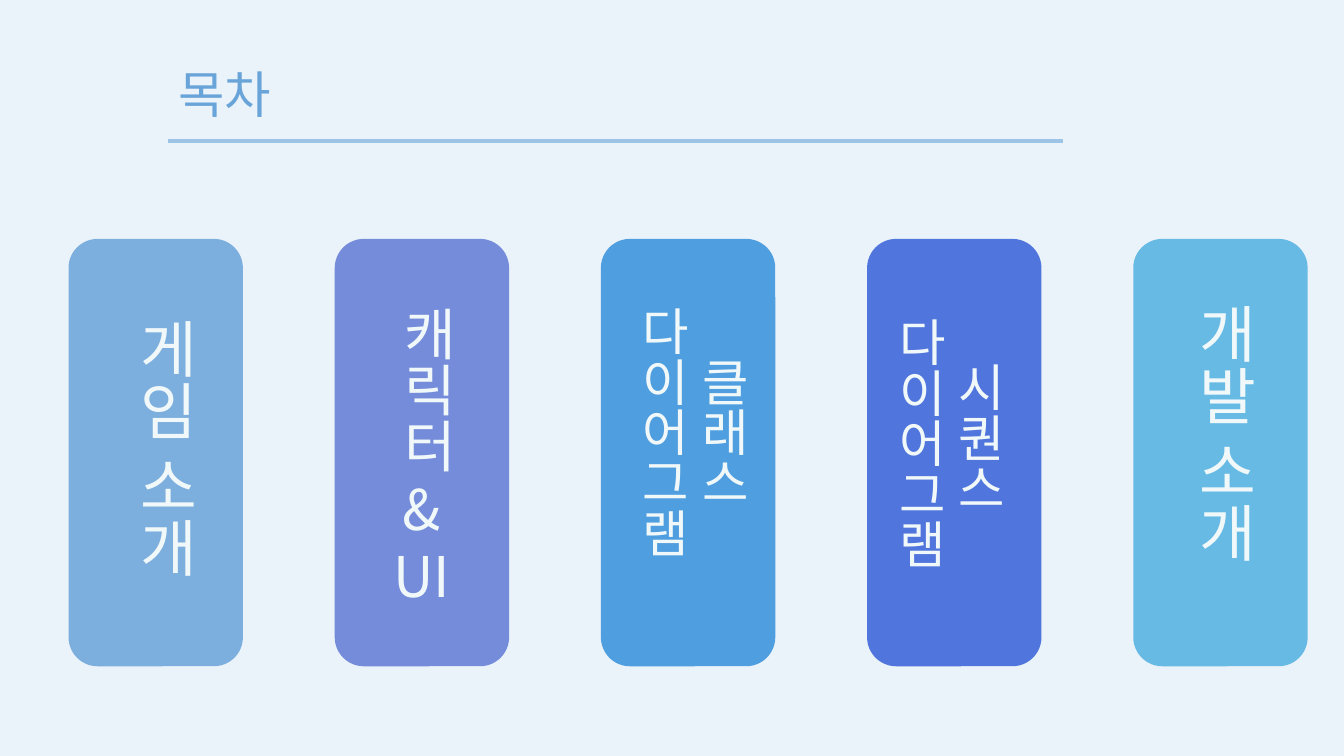
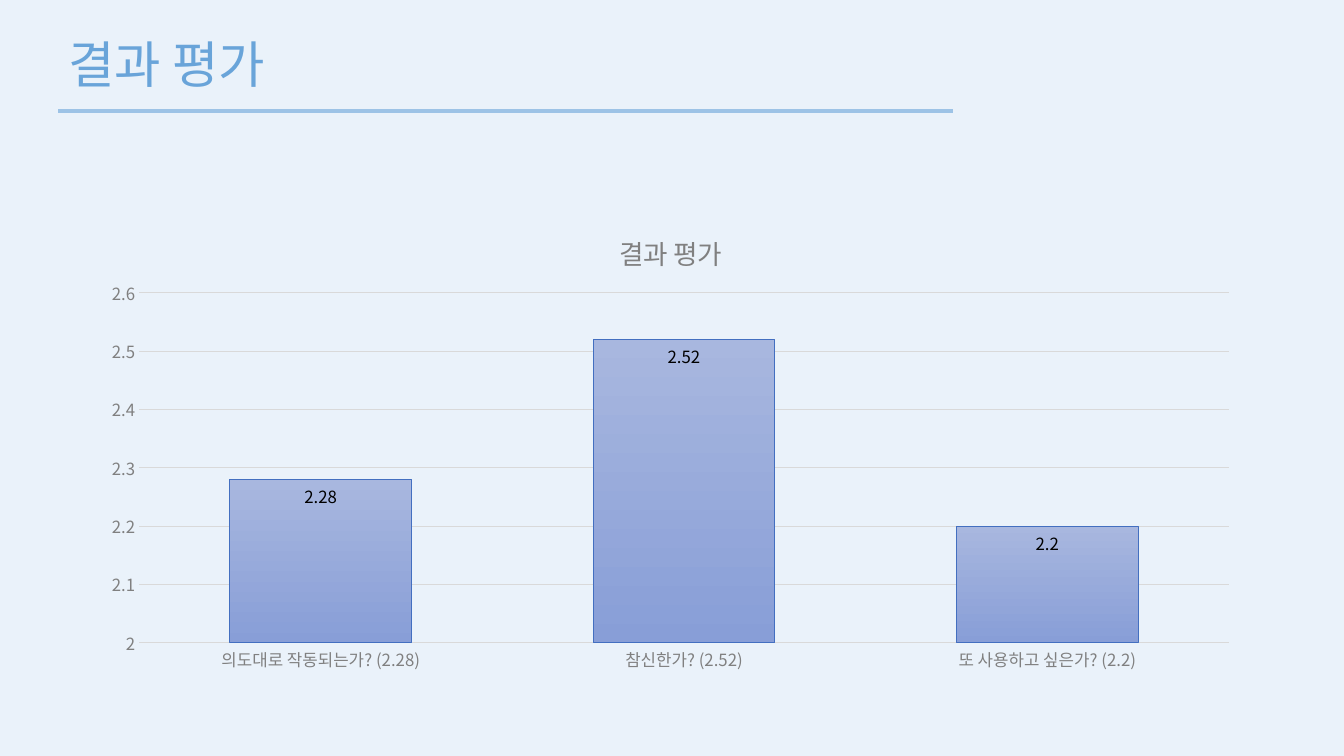
from lxml import etree
from pptx import Presentation
from pptx.chart.data import CategoryChartData
from pptx.dml.color import RGBColor
from pptx.enum.chart import XL_CHART_TYPE, XL_LABEL_POSITION, XL_TICK_MARK
from pptx.enum.shapes import MSO_CONNECTOR, MSO_SHAPE
from pptx.enum.text import MSO_AUTO_SIZE, PP_ALIGN
from pptx.oxml.ns import qn
from pptx.util import Inches, Pt

LINE = MSO_CONNECTOR.STRAIGHT
ROUND = MSO_SHAPE.ROUNDED_RECTANGLE
GROW = MSO_AUTO_SIZE.SHAPE_TO_FIT_TEXT
LEFT, CENTER = PP_ALIGN.LEFT, PP_ALIGN.CENTER
COLUMN = XL_CHART_TYPE.COLUMN_CLUSTERED
IN_END = XL_LABEL_POSITION.INSIDE_END
NO_TICK = XL_TICK_MARK.NONE


class Theme:
    font = "Noto Sans CJK KR"
    back = RGBColor.from_string("EAF2FA")
    title = RGBColor.from_string("69A4D9")
    rule = RGBColor.from_string("9DC3E6")
    light = RGBColor.from_string("F1F8F9")
    gray = RGBColor.from_string("808080")
    grid = RGBColor.from_string("D9D9D9")
    black = RGBColor.from_string("000000")
    edge = RGBColor.from_string("436FC0")
    bar = [RGBColor.from_string(c) for c in ("A8B7DF", "889ED7")]
    cards = [RGBColor.from_string(c) for c in
             ("7CAFDE", "748CDA", "4F9EDF", "5075DC", "66BAE4")]
    big, mid, head = 44, 40, 36
    chart, label = 19, 12


def style(font, size, color):
    font.name = Theme.font
    font.size = Pt(size)
    font.bold = False
    font.color.rgb = color
    east = etree.SubElement(font._element if hasattr(font, "_element") else font._rPr, qn("a:ea"))
    east.set("typeface", Theme.font)


def write(slide, area, text, size, color, align=LEFT, wrap=False, tall=False):
    frame = slide.shapes.add_textbox(*[Inches(v) for v in area]).text_frame
    frame.word_wrap = wrap
    frame.auto_size = GROW
    if tall:
        frame._txBody.bodyPr.set("vert", "eaVert")
    frame.text = text
    for para in frame.paragraphs:
        para.alignment = align
        for run in para.runs:
            style(run.font, size, color)


deck = Presentation()
deck.slide_width, deck.slide_height = Inches(13.33), Inches(7.5)
fill = deck.slide_master.background.fill
fill.solid()
fill.fore_color.rgb = Theme.back

# Slides with title and rule
slides = []
for text, left, top, width in [("목차", 1.67, 0.58, 1.17),
                               ("결과 평가", 0.58, 0.28, 2.24)]:
    slide = deck.slides.add_slide(deck.slide_layouts[6])
    write(slide, (left, top, width, 0.71), text, Theme.head, Theme.title)
    y = Inches(top + 0.82)
    rule = slide.shapes.add_connector(LINE, Inches(left), y, Inches(left + 8.87), y)
    rule.line.color.rgb = Theme.rule
    rule.line.width = Pt(3)
    etree.SubElement(rule._element.spPr, qn("a:effectLst"))
    slides.append(slide)
index, result = slides

# Contents cards
for i, color in enumerate(Theme.cards):
    card = index.shapes.add_shape(ROUND, Inches(0.68 + 2.64 * i), Inches(2.37),
                                  Inches(1.73), Inches(4.24))
    card.shadow.inherit = False
    card.fill.solid()
    card.fill.fore_color.rgb = color
    card.line.fill.background()

# Vertical card labels
for text, area, size, align in [
    ("게임 소개", (1.13, 3.06, 0.94, 3.05), Theme.big, LEFT),
    ("캐릭터", (3.75, 2.94, 0.88, 3.59), Theme.mid, LEFT),
    ("클래스\n다이어그램", (6.12, 2.94, 1.41, 2.97), Theme.head, CENTER),
    ("시퀀스\n 다이어그램", (8.66, 2.94, 1.41, 2.97), Theme.head, CENTER),
    ("개발 소개", (11.63, 2.91, 0.94, 3.05), Theme.big, CENTER),
]:
    write(index, area, text, size, Theme.light, align, wrap=True, tall=True)
write(index, (3.72, 4.66, 0.93, 1.45), " & \nUI", Theme.mid, Theme.light, CENTER)

# Rating chart
data = CategoryChartData()
data.categories = ["의도대로 작동되는가? (2.28)", "참신한가? (2.52)",
                   "또 사용하고 싶은가? (2.2)"]
data.add_series("Series 1", [2.28, 2.52, 2.2])
chart = result.shapes.add_chart(COLUMN, Inches(0.92), Inches(2), Inches(11.5),
                                Inches(4.76), data).chart
style(chart.font, 10, Theme.black)
chart.has_legend = False
chart.has_title = True
head = chart.chart_title
head.include_in_layout = False
head.text_frame.text = "결과 평가"
style(head.text_frame.paragraphs[0].runs[0].font, Theme.chart, Theme.gray)

# Axes
cat, val = chart.category_axis, chart.value_axis
for axis in (cat, val):
    axis.major_tick_mark = axis.minor_tick_mark = NO_TICK
    style(axis.tick_labels.font, Theme.label, Theme.gray)
val.minimum_scale, val.maximum_scale, val.major_unit = 2, 2.6, 0.1
val.format.line.fill.background()
val.has_major_gridlines = True
for line in (cat.format.line, val.major_gridlines.format.line):
    line.color.rgb = Theme.grid
    line.width = Pt(0.75)

# Bars and values
plot = chart.plots[0]
plot.gap_width, plot.overlap = 100, -24
plot.vary_by_categories = False
bars = plot.series[0]
bars.invert_if_negative = False
fill = bars.format.fill
fill.gradient()
fill.gradient_angle = 270
for stop, color, place in zip(fill.gradient_stops, Theme.bar, (0, 1)):
    stop.color.rgb = color
    stop.position = place
bars.format.line.color.rgb = Theme.edge
bars.format.line.width = Pt(0.75)
labels = bars.data_labels
labels.show_value = True
labels.position = IN_END
style(labels.font, Theme.label, Theme.black)

# Fixed places of the chart title and plot area, as shares of the chart
area = chart._chartSpace.chart.plotArea
for part, at, sizes in [
    (head._element, 1, {"x": 0.45, "y": 0.05}),
    (area, 0, {"x": 0.04, "y": 0.19, "w": 0.94, "h": 0.73}),
]:
    for old in part.findall(qn("c:layout")):
        part.remove(old)
    layout = part.makeelement(qn("c:layout"))
    part.insert(at, layout)
    manual = etree.SubElement(layout, qn("c:manualLayout"))
    if part is area:
        etree.SubElement(manual, qn("c:layoutTarget")).set("val", "inner")
    for key in ("x", "y"):
        etree.SubElement(manual, qn(f"c:{key}Mode")).set("val", "edge")
    for key, share in sizes.items():
        etree.SubElement(manual, qn(f"c:{key}")).set("val", str(share))

deck.save("out.pptx")
